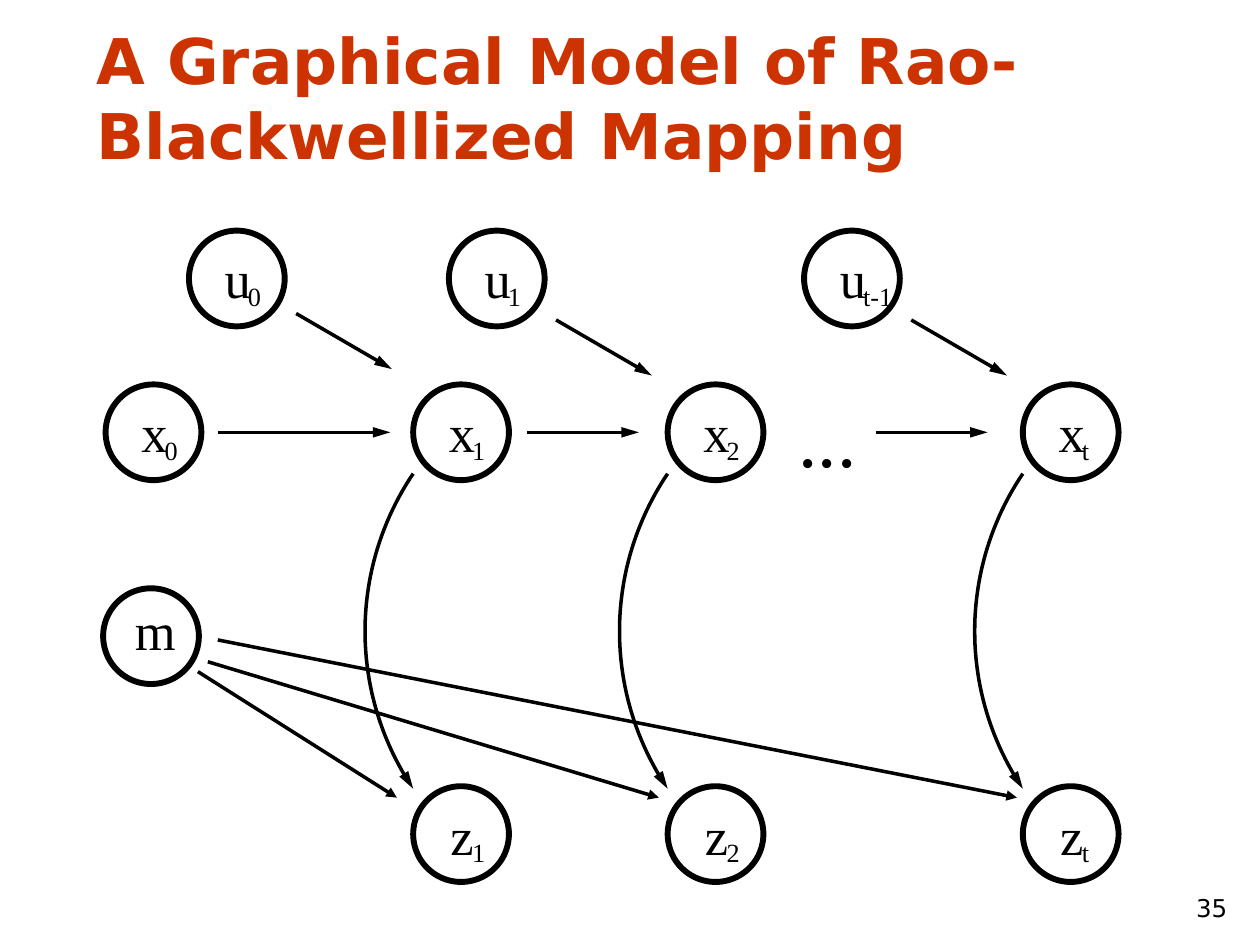
from math import asin, cos, sin

from lxml.etree import SubElement
from pptx import Presentation
from pptx.dml.color import RGBColor
from pptx.enum.shapes import MSO_CONNECTOR as Link, MSO_SHAPE as Preset
from pptx.enum.text import MSO_ANCHOR as Anchor, MSO_AUTO_SIZE as Fit, PP_ALIGN as Align
from pptx.oxml.ns import qn
from pptx.util import Cm, Pt

TITLE = "A Graphical Model of Rao-Blackwellized Mapping"
PAGE = "35"
SANS, SERIF = "DejaVu Sans", "Times New Roman"
BLACK, RED = "000000", "CC3300"

# All lengths are in centimetres.
DIAMETER = 1.93
ROW_TOP = {"u": 4.65, "x": 7.75, "m": 11.86, "z": 15.85}
NODES = {
    "u": [("0", 3.81), ("1", 9.05), ("t-1", 16.21)],
    "x": [("0", 2.13), ("1", 8.33), ("2", 13.46), ("t", 20.62)],
    "m": [("", 2.08)],
    "z": [("1", 8.33), ("2", 13.46), ("t", 20.62)],
}
# Letter: offset from its circle (left, top) and width
LETTERS = {"u": (0.72, 0.31, 0.53), "x": (0.72, 0.31, 0.53),
           "m": (0.64, 0.2, 0.82), "z": (0.75, 0.33, 0.48)}
SUBSCRIPT_OFFSET = (1.19, 1.0)
SUBSCRIPT_WIDTH = {"0": 0.27, "1": 0.27, "2": 0.27, "t": 0.15, "t-1": 0.7}

TRANSITIONS = [(4.39, 7.87), (10.62, 12.88), (17.65, 19.91)]
CONTROL_START_Y = [6.32, 6.45, 6.45]
CONTROL_DX, CONTROL_REACH = 2.16, (1.93, 1.12)
MAP_ARROWS = [((3.99, 13.54), 8.0), ((4.19, 13.34), 13.28), ((4.39, 12.9), 20.5)]
MAP_END_Y = 16.08
ARC_TOP, ARC_BOTTOM, ARC_DEPTH, ARC_STEPS = 9.55, 15.9, 0.97, 48


def color(hex_string):
    return RGBColor.from_string(hex_string)


def add_text(slide, text, box, size, font, ink=BLACK, bold=False,
             align=Align.LEFT, label=True):
    """Add one paragraph; a label is unwrapped and has no margins."""
    frame = slide.shapes.add_textbox(*map(Cm, box)).text_frame
    frame.word_wrap = not label
    if label:
        frame.margin_left = frame.margin_right = 0
        frame.margin_top = frame.margin_bottom = 0
        frame.auto_size = Fit.SHAPE_TO_FIT_TEXT
    else:
        frame.vertical_anchor = Anchor.BOTTOM
    paragraph = frame.paragraphs[0]
    paragraph.text = text
    paragraph.alignment = align
    paragraph.font.name = font
    paragraph.font.size = Pt(size)
    paragraph.font.bold = bold
    paragraph.font.color.rgb = color(ink)


def add_node(slide, letter, subscript, left):
    top = ROW_TOP[letter]
    circle = slide.shapes.add_shape(
        Preset.OVAL, Cm(left), Cm(top), Cm(DIAMETER), Cm(DIAMETER))
    circle.shadow.inherit = False
    circle.fill.background()
    circle.line.color.rgb = color(BLACK)
    circle.line.width = Pt(3.37)
    dx, dy, width = LETTERS[letter]
    add_text(slide, letter, (left + dx, top + dy, width, 1.27), 30, SERIF)
    if subscript:
        dx, dy = SUBSCRIPT_OFFSET
        add_text(slide, subscript,
                 (left + dx, top + dy, SUBSCRIPT_WIDTH[subscript], 0.64), 15, SERIF)


def style_arrow(shape, length="lg"):
    shape.line.color.rgb = color(BLACK)
    shape.line.width = Pt(2)
    SubElement(shape.line._get_or_add_ln(), qn("a:tailEnd"),
               type="triangle", w="med", len=length)


def add_arrow(slide, start, end, length="lg"):
    arrow = slide.shapes.add_connector(Link.STRAIGHT, *map(Cm, (*start, *end)))
    style_arrow(arrow, length)
    SubElement(arrow._element.spPr, qn("a:effectLst"))


def add_arc(slide, x):
    """Draw a circular arc bulging left, from a state down to its observation."""
    half = (ARC_BOTTOM - ARC_TOP) / 2
    radius = (half ** 2 + ARC_DEPTH ** 2) / (2 * ARC_DEPTH)
    center_x, center_y = x - ARC_DEPTH + radius, ARC_TOP + half
    limit = asin(half / radius)
    angles = [limit * (2 * i / ARC_STEPS - 1) for i in range(ARC_STEPS + 1)]
    points = [(Cm(center_x - radius * cos(a)), Cm(center_y + radius * sin(a)))
              for a in angles]
    builder = slide.shapes.build_freeform(*points[0])
    builder.add_line_segments(points[1:], close=False)
    arc = builder.convert_to_shape()
    arc.shadow.inherit = False
    arc.fill.background()
    style_arrow(arc)


def main():
    deck = Presentation()
    deck.slide_width, deck.slide_height = Cm(25.4), Cm(19.05)
    slide = deck.slides.add_slide(deck.slide_layouts[6])

    add_text(slide, TITLE, (1.7, 0.3, 23.39, 3.3), 36, SANS, RED, bold=True, label=False)

    for letter, row in NODES.items():
        for subscript, left in row:
            add_node(slide, letter, subscript, left)
    add_text(slide, "...", (16.1, 7.87, 1.17, 1.85), 44, SERIF)

    state_y = ROW_TOP["x"] + DIAMETER / 2
    for start, end in TRANSITIONS:
        add_arrow(slide, (start, state_y), (end, state_y))
    for (_, left), y in zip(NODES["u"], CONTROL_START_Y):
        x = left + CONTROL_DX
        add_arrow(slide, (x, y), (x + CONTROL_REACH[0], y + CONTROL_REACH[1]))
    for start, end_x in MAP_ARROWS:
        add_arrow(slide, start, (end_x, MAP_END_Y), "med")
    for _, left in NODES["z"]:
        add_arc(slide, left)

    add_text(slide, PAGE, (23.29, 17.45, 1.7, 1.27), 14, SANS, align=Align.RIGHT, label=False)
    deck.save("out.pptx")


if __name__ == "__main__":
    main()
